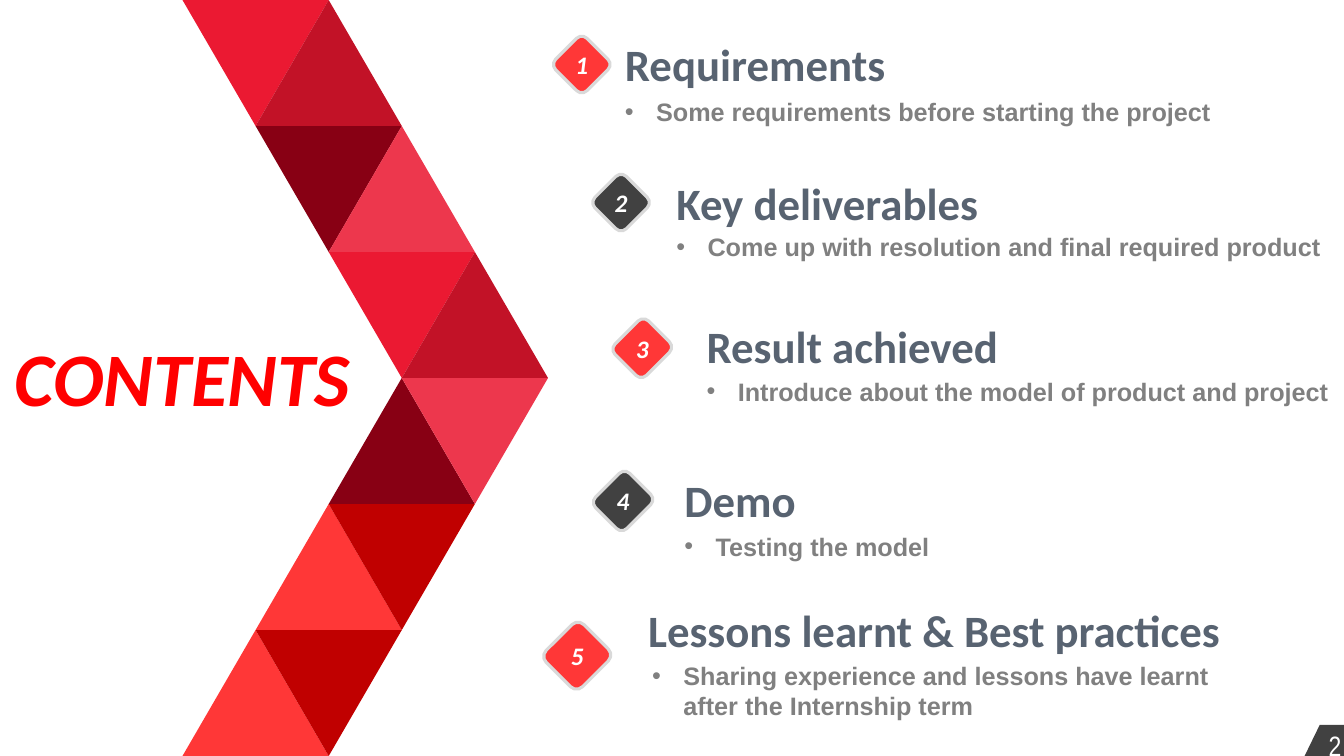
from dataclasses import dataclass

from lxml import etree
from pptx import Presentation
from pptx.dml.color import RGBColor
from pptx.enum.shapes import MSO_SHAPE as Shape
from pptx.enum.text import PP_ALIGN as Align
from pptx.oxml.ns import qn
from pptx.util import Inches, Pt


@dataclass(frozen=True)
class Theme:
    red: str = "FF3737"
    dark: str = "414141"
    outline: str = "D9D9D9"
    heading: str = "586371"
    detail: str = "808080"
    white: str = "FFFFFF"
    title: str = "FF0000"
    crimson: tuple = ("EB1932", "C21227")
    maroon: tuple = ("880014", "ED374D")
    scarlet: tuple = ("FF3737", "C00000")
    title_size: int = 54
    heading_size: int = 32
    detail_size: int = 18
    page_size: int = 20
    display_font: str = "Calibri"
    body_font: str = "Arial"
    page_font: str = "Arial Narrow"


THEME = Theme()

TITLE = "CONTENTS"
PAGE_NUMBER = "2"
# heading, heading area, detail, detail area, diamond area
TOPICS = [
    ("Requirements", (6.1, 0.32, 6.8, 0.64),
     "Some requirements before starting the project", (6.1, 0.91, 6.07, 0.4),
     (5.55, 0.42, 0.44, 0.44)),
    ("Key deliverables", (6.61, 1.69, 6, 0.64),
     "Come up with resolution and final required product", (6.61, 2.25, 6.66, 0.4),
     (5.94, 1.79, 0.44, 0.44)),
    ("Result achieved", (6.91, 3.11, 5.37, 0.64),
     "Introduce about the model of product and project", (6.91, 3.68, 6.44, 0.71),
     (6.15, 3.22, 0.44, 0.47)),
    ("Demo", (6.69, 4.64, 5.88, 0.64),
     "Testing the model", (6.69, 5.22, 2.66, 0.71),
     (5.96, 4.73, 0.44, 0.48)),
    ("Lessons learnt & Best practices", (6.33, 5.93, 7.41, 0.64),
     "Sharing experience and lessons have learnt \vafter the Internship term",
     (6.37, 6.5, 5.85, 1.01), (5.47, 6.24, 0.51, 0.53)),
]
CHEVRON_ROWS = [THEME.crimson, THEME.maroon, THEME.crimson,
                THEME.maroon, THEME.scarlet, THEME.scarlet]
CHEVRON_LEFT, TRIANGLE_WIDTH, TRIANGLE_HEIGHT = 1.81, 1.45, 1.25
NUMBER_WIDTH, NUMBER_HEIGHT = 0.34, 0.4
BULLET_INDENT = 0.31
PAGE_TAB = [(13.09, 7.19), (13.55, 7.19), (13.37, 7.58), (12.9, 7.58)]


def paint(shape, color):
    shape.shadow.inherit = False
    shape.fill.solid()
    shape.fill.fore_color.rgb = RGBColor.from_string(color)
    shape.line.fill.background()


def add_shape(shapes, kind, area, color, rotation):
    shape = shapes.add_shape(kind, *map(Inches, area))
    paint(shape, color)
    shape.rotation = rotation
    return shape


def add_bullet(para):
    properties = para._p.get_or_add_pPr()
    properties.set("marL", str(Inches(BULLET_INDENT)))
    properties.set("indent", str(-Inches(BULLET_INDENT)))
    etree.SubElement(properties, qn("a:buFont")).set("typeface", "Arial")
    etree.SubElement(properties, qn("a:buChar")).set("char", "•")


def add_text(shapes, text, area, size, color, font=THEME.display_font, bold=True,
             italic=False, align=Align.LEFT, wrap=True, bullet=False):
    box = shapes.add_textbox(*map(Inches, area))
    box.text_frame.word_wrap = wrap
    para = box.text_frame.paragraphs[0]
    para.text = text
    para.alignment = align
    if bullet:
        add_bullet(para)
    para.font.name = font
    para.font.size = Pt(size)
    para.font.bold = bold
    para.font.italic = italic
    para.font.color.rgb = RGBColor.from_string(color)


def add_chevron(page):
    shapes = page.shapes.add_group_shape().shapes
    last = len(CHEVRON_ROWS) - 1
    for row, colors in enumerate(CHEVRON_ROWS):
        upper_half = row <= last // 2
        for column, color in enumerate(colors):
            step = min(row, last - row) + column
            points_down = upper_half == (column == 0)
            area = (CHEVRON_LEFT + step * TRIANGLE_WIDTH / 2, row * TRIANGLE_HEIGHT,
                    TRIANGLE_WIDTH, TRIANGLE_HEIGHT)
            add_shape(shapes, Shape.ISOSCELES_TRIANGLE, area, color,
                      180 if points_down else 0)


def add_marker(page, number, area):
    shapes = page.shapes.add_group_shape().shapes
    color = THEME.red if number % 2 else THEME.dark
    diamond = add_shape(shapes, Shape.ROUNDED_RECTANGLE, area, color, 45)
    diamond.line.color.rgb = RGBColor.from_string(THEME.outline)
    diamond.line.width = Pt(2.25)
    left, top, width, height = area
    number_area = (left + (width - NUMBER_WIDTH) / 2, top + (height - NUMBER_HEIGHT) / 2,
                   NUMBER_WIDTH, NUMBER_HEIGHT)
    add_text(shapes, str(number), number_area, THEME.detail_size, THEME.white,
             italic=True, align=Align.CENTER, wrap=False)


def add_page_number(page):
    start, *corners = [(Inches(x), Inches(y)) for x, y in PAGE_TAB]
    builder = page.shapes.build_freeform(*start)
    builder.add_line_segments(corners, close=True)
    paint(builder.convert_to_shape(), THEME.dark)
    add_text(page.shapes, PAGE_NUMBER, (13.08, 7.18, 0.26, 0.44), THEME.page_size,
             THEME.white, font=THEME.page_font, bold=False, align=Align.CENTER)


def main():
    deck = Presentation()
    deck.slide_width, deck.slide_height = Inches(13.33), Inches(7.5)
    page = deck.slides.add_slide(deck.slide_layouts[6])
    add_chevron(page)
    add_text(page.shapes, TITLE, (0.05, 3.23, 4.12, 1.01), THEME.title_size,
             THEME.title, italic=True)
    for number, topic in enumerate(TOPICS, 1):
        heading, heading_area, detail, detail_area, marker_area = topic
        add_marker(page, number, marker_area)
        add_text(page.shapes, heading, heading_area, THEME.heading_size, THEME.heading)
        add_text(page.shapes, detail, detail_area, THEME.detail_size, THEME.detail,
                 font=THEME.body_font, wrap=False, bullet=True)
    add_page_number(page)
    deck.save("out.pptx")


if __name__ == "__main__":
    main()
